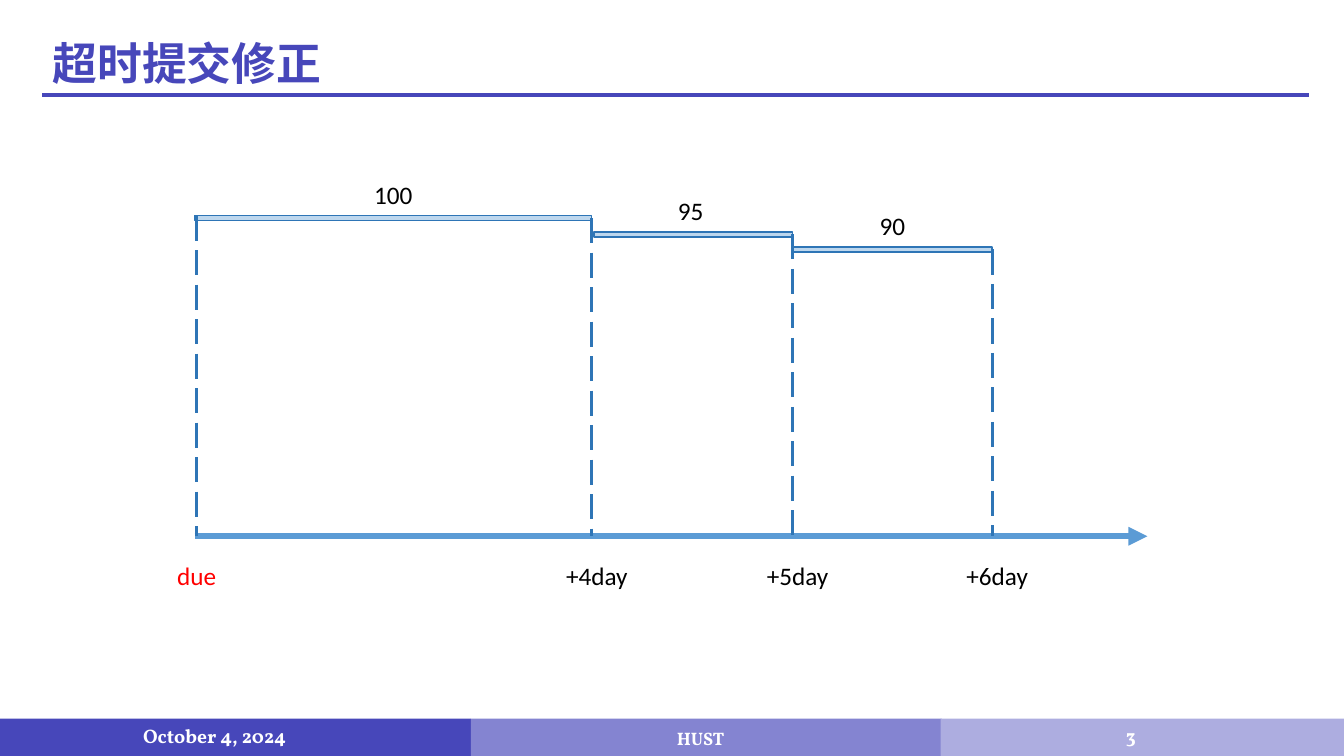
import pptx
import pptx.util
import pptx.dml.color
import pptx.enum.dml
import pptx.enum.shapes
import pptx.enum.text
import pptx.oxml.xmlchemy

Inches = pptx.util.Inches
Pt = pptx.util.Pt
ALIGN = pptx.enum.text.PP_ALIGN
ANCHOR = pptx.enum.text.MSO_ANCHOR
DASH = pptx.enum.dml.MSO_LINE.LONG_DASH

COLORS = {
    "indigo": "4747BA", "violet": "8484D1", "lavender": "ADADE0",
    "axis": "5B9BD5", "bar": "BDD7EE", "edge": "2E75B6",
    "white": "FFFFFF", "black": "000000", "red": "FF0000",
}

TITLE = "超时提交修正"
FOOTER_BANDS = [(0, 4.67, "indigo"), (4.67, 4.67, "violet"), (9.33, 4, "lavender")]
FOOTER_TEXTS = [
    ("October 4, 2024", (1.32, 7.1, 2.02, 0.4), 14, ALIGN.LEFT),
    ("HUST", (4.48, 7.17, 4.94, 0.3), 12.9, ALIGN.CENTER),
    ("3", (10.77, 7, 0.89, 0.6), 14, ALIGN.CENTER),
]
SCORES = [
    ("100", "+4day", 1.93, 2.14, 3.94, 3.9),
    ("95", "+5day", 5.89, 2.3, 1.97, 6.85),
    ("90", "+6day", 7.87, 2.45, 1.97, 8.85),
]
DUE_X, AXIS_Y, AXIS_END = 1.95, 5.32, 11.38
BAR_H, LABEL_H, DAY_Y = 0.05, 0.4, 5.51
SCORE_RISE, DAY_SHIFT = 0.41, 0.05


def color(name):
    return pptx.dml.color.RGBColor.from_string(COLORS[name])


def write(tf, text, size=18, font="Calibri", fill="black", bold=False,
          align=ALIGN.CENTER, anchor=ANCHOR.TOP, wrap=True):
    tf.word_wrap = wrap
    tf.auto_size = pptx.enum.text.MSO_AUTO_SIZE.NONE
    tf.vertical_anchor = anchor
    p = tf.paragraphs[0]
    p.alignment = align
    r = p.add_run()
    r.text = text
    r.font.size = Pt(size)
    r.font.name = font
    r.font.bold = bold
    r.font.color.rgb = color(fill)
    return p


def add_text(s, text, box, **fmt):
    sp = s.shapes.add_textbox(*map(Inches, box))
    write(sp.text_frame, text, **fmt)


def add_label(s, text, center, top, width, fill="black"):
    add_text(s, text, (center - width / 2, top, width, LABEL_H), fill=fill, wrap=False)


def add_rect(s, box, fill, edge=None):
    sp = s.shapes.add_shape(pptx.enum.shapes.MSO_SHAPE.RECTANGLE, *map(Inches, box))
    sp.shadow.inherit = False
    sp.fill.solid()
    sp.fill.fore_color.rgb = color(fill)
    if edge:
        sp.line.color.rgb = color(edge)
        sp.line.width = Pt(1)
    else:
        sp.line.fill.background()
    return sp


def add_line(s, x1, y1, x2, y2, stroke, width, dash=None, arrow=False):
    c = s.shapes.add_connector(pptx.enum.shapes.MSO_CONNECTOR.STRAIGHT,
                               *map(Inches, (x1, y1, x2, y2)))
    c.line.color.rgb = color(stroke)
    c.line.width = Pt(width)
    if dash:
        c.line.dash_style = dash
    if arrow:
        tail = pptx.oxml.xmlchemy.OxmlElement("a:tailEnd")
        tail.set("type", "triangle")
        c._element.spPr.ln.append(tail)
    c._element.spPr.append(pptx.oxml.xmlchemy.OxmlElement("a:effectLst"))
    return c


def add_footer(s):
    for left, width, fill in FOOTER_BANDS:
        add_rect(s, (left, 7.13, width, 0.37), fill)
    for text, box, size, align in FOOTER_TEXTS:
        add_text(s, text, box, size=size, font="Vollkorn", fill="white",
                 bold=True, align=align, anchor=ANCHOR.MIDDLE)


def add_title(s):
    add_line(s, 0.42, 0.94, 12.98, 0.94, "indigo", 3)
    sp = s.shapes.title
    sp.left, sp.top, sp.width, sp.height = map(Inches, (0.42, 0.36, 7.44, 0.58))
    p = write(sp.text_frame, TITLE, size=32, fill="indigo", bold=True, align=ALIGN.LEFT)
    p.line_spacing = 0.9


def add_timeline(s):
    add_line(s, 1.93, AXIS_Y, AXIS_END, AXIS_Y, "axis", 4.5, arrow=True)
    bars = [add_rect(s, (left, top, width, BAR_H), "bar", "edge")
            for _, _, left, top, width, _ in SCORES]
    add_line(s, DUE_X, SCORES[0][3], DUE_X, AXIS_Y, "edge", 2.25, DASH)
    add_label(s, "due", DUE_X, DAY_Y, 0.59, fill="red")
    for bar, (score, day, left, top, width, center) in zip(bars, SCORES):
        right = left + width
        c = add_line(s, right, top + BAR_H / 2, right, AXIS_Y, "edge", 2.25, DASH)
        c.begin_connect(bar, 3)
        add_label(s, score, center, top - SCORE_RISE, 0.59)
        add_label(s, day, right + DAY_SHIFT, DAY_Y, 0.82)


def main():
    prs = pptx.Presentation()
    prs.slide_width, prs.slide_height = Inches(13.33), Inches(7.5)
    s = prs.slides.add_slide(prs.slide_layouts[5])
    add_footer(s)
    add_title(s)
    add_timeline(s)
    prs.save("out.pptx")


if __name__ == "__main__":
    main()
